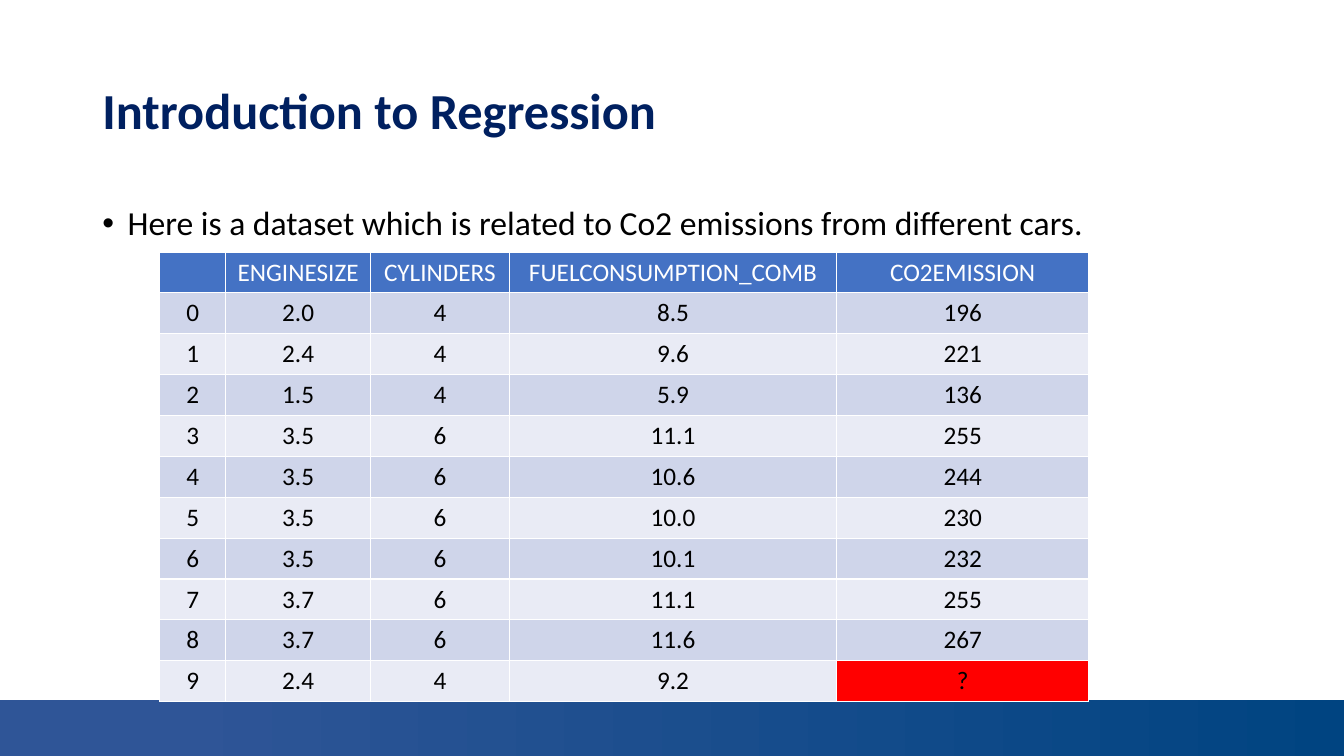
from dataclasses import dataclass

from pptx import Presentation
from pptx.dml.color import RGBColor
from pptx.enum.shapes import MSO_SHAPE
from pptx.enum.text import MSO_ANCHOR, MSO_AUTO_SIZE, PP_ALIGN
from pptx.util import Emu, Pt

EMU_PER_PX = 9525
FONT = "Calibri"

WHITE = RGBColor(0xFF, 0xFF, 0xFF)
BLACK = RGBColor(0x00, 0x00, 0x00)
NAVY = RGBColor(0x00, 0x20, 0x60)
BAR_LEFT = RGBColor(0x2F, 0x55, 0x97)
BAR_RIGHT = RGBColor(0x00, 0x44, 0x81)
HEADER_BLUE = RGBColor(0x44, 0x72, 0xC4)
BAND_DARK = RGBColor(0xCF, 0xD5, 0xEA)
BAND_LIGHT = RGBColor(0xE9, 0xEB, 0xF5)
RED = RGBColor(0xFF, 0x00, 0x00)


@dataclass(frozen=True)
class Box:
    left: int
    top: int
    width: int
    height: int

    def emu(self) -> tuple:
        return tuple(map(px, (self.left, self.top, self.width, self.height)))


@dataclass(frozen=True)
class Column:
    heading: str
    width: int
    values: tuple


SLIDE = Box(0, 0, 1280, 720)
FOOTER_BAR = Box(0, 667, 1280, 53)
TITLE = Box(88, 38, 1104, 139)
BODY = Box(88, 192, 1104, 457)
TABLE = Box(152, 240, 885, 422)
ROW_HEIGHT = 34
BULLET_INDENT = 24

COLUMNS = (
    Column("", 63, tuple(range(10))),
    Column("ENGINESIZE", 138, (2.0, 2.4, 1.5, 3.5, 3.5, 3.5, 3.5, 3.7, 3.7, 2.4)),
    Column("CYLINDERS", 132, (4, 4, 4, 6, 6, 6, 6, 6, 6, 4)),
    Column("FUELCONSUMPTION_COMB", 312,
           (8.5, 9.6, 5.9, 11.1, 10.6, 10.0, 10.1, 11.1, 11.6, 9.2)),
    Column("CO2EMISSION", 240, (196, 221, 136, 255, 244, 230, 232, 255, 267, "?")),
)


def px(length: int) -> Emu:
    return Emu(length * EMU_PER_PX)


def write(frame, text: str, *, size: int, color: RGBColor, bold: bool = False,
          align=PP_ALIGN.LEFT, line_spacing: float = 1.0, space_before: int = 0):
    para = frame.paragraphs[0]
    para.alignment = align
    para.line_spacing = line_spacing
    para.space_before = Pt(space_before)
    span = para.add_run()
    span.text = text
    span.font.name = FONT
    span.font.size = Pt(size)
    span.font.bold = bold
    span.font.color.rgb = color
    return para


def place(placeholder, box: Box, anchor):
    """Move a placeholder and return its text frame."""
    placeholder.left, placeholder.top, placeholder.width, placeholder.height = box.emu()
    frame = placeholder.text_frame
    frame.auto_size = MSO_AUTO_SIZE.NONE
    frame.word_wrap = True
    frame.vertical_anchor = anchor
    return frame


def add_footer_bar(page) -> None:
    bar = page.shapes.add_shape(MSO_SHAPE.RECTANGLE, *FOOTER_BAR.emu())
    bar.shadow.inherit = False
    bar.line.fill.background()
    bar.fill.gradient()
    bar.fill.gradient_angle = 0
    stops = ((0.13, BAR_LEFT), (1.0, BAR_RIGHT))
    for stop, (position, color) in zip(bar.fill.gradient_stops, stops):
        stop.position = position
        stop.color.rgb = color
    page.shapes.title.element.addprevious(bar.element)


def cell_fill(row: int, value) -> RGBColor:
    if row == 0:
        return HEADER_BLUE
    if value == "?":
        return RED
    return BAND_DARK if row % 2 else BAND_LIGHT


def add_dataset(page) -> None:
    row_count = len(COLUMNS[0].values) + 1
    holder = page.shapes.add_table(row_count, len(COLUMNS), *TABLE.emu())
    table = holder.table
    for row in table.rows:
        row.height = px(ROW_HEIGHT)
    for index, column in enumerate(COLUMNS):
        table.columns[index].width = px(column.width)
        for row, value in enumerate((column.heading, *column.values)):
            cell = table.cell(row, index)
            cell.fill.solid()
            cell.fill.fore_color.rgb = cell_fill(row, value)
            if value != "":
                write(cell.text_frame, str(value), size=18, align=PP_ALIGN.CENTER,
                      color=BLACK if row else WHITE)
    holder.height = px(TABLE.height)


def main() -> None:
    deck = Presentation()
    deck.slide_width, deck.slide_height = px(SLIDE.width), px(SLIDE.height)
    page = deck.slides.add_slide(deck.slide_layouts[1])
    add_footer_bar(page)

    title = place(page.shapes.title, TITLE, MSO_ANCHOR.MIDDLE)
    write(title, "Introduction to Regression", size=36, color=NAVY, bold=True,
          line_spacing=0.9)

    body = place(page.placeholders[1], BODY, MSO_ANCHOR.TOP)
    bullet = write(
        body, "Here is a dataset which is related to Co2 emissions from different cars.",
        size=24, color=BLACK, line_spacing=0.9, space_before=10)
    properties = bullet._p.get_or_add_pPr()
    properties.set("marL", str(px(BULLET_INDENT)))
    properties.set("indent", str(-px(BULLET_INDENT)))

    add_dataset(page)
    deck.save("out.pptx")


if __name__ == "__main__":
    main()
